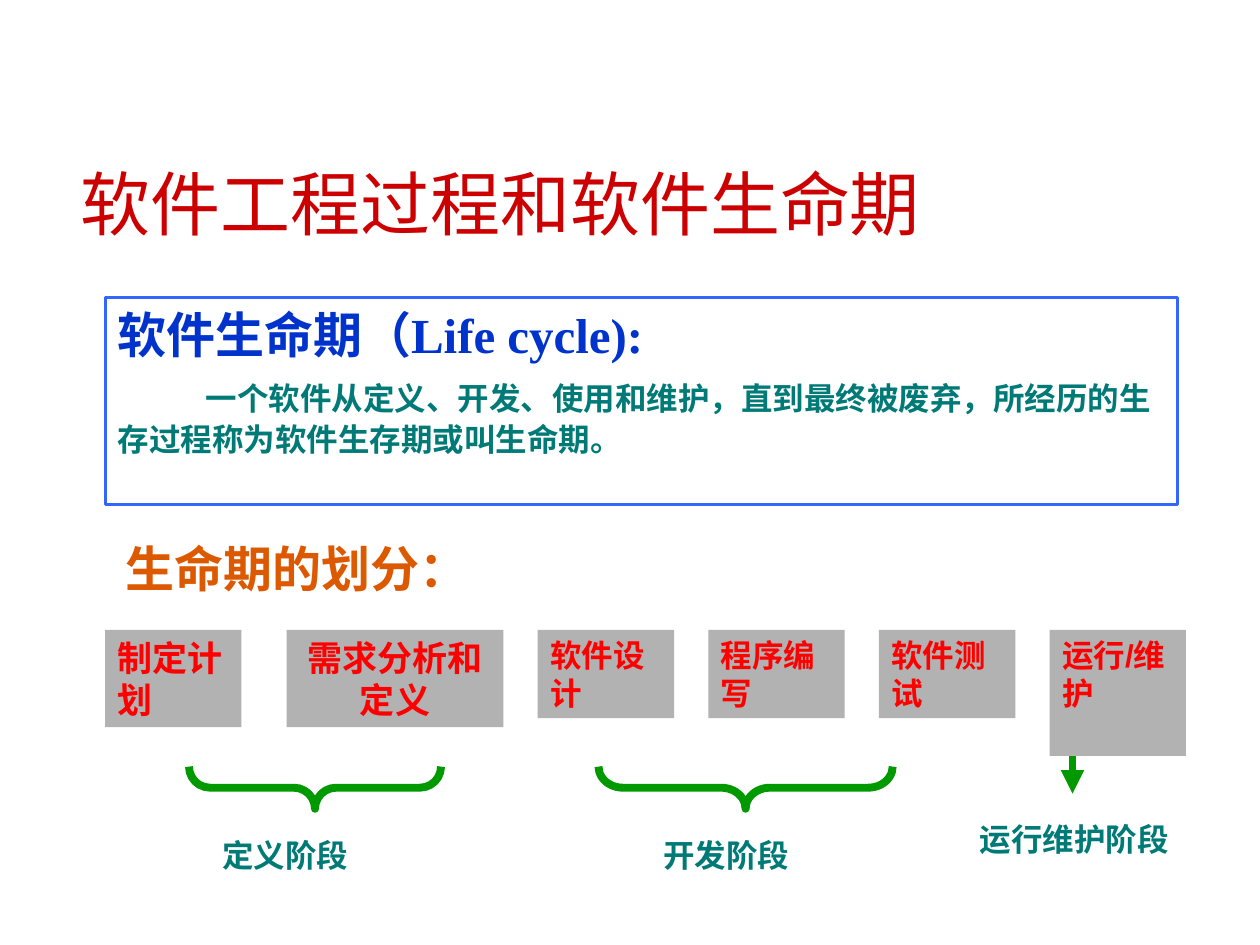
from lxml.etree import SubElement
from pptx import Presentation
from pptx.dml.color import RGBColor
from pptx.enum.shapes import MSO_CONNECTOR as Connector, MSO_SHAPE as Shape
from pptx.enum.text import MSO_ANCHOR as Anchor, PP_ALIGN as Align
from pptx.oxml.ns import qn
from pptx.util import Cm, Pt

RED = RGBColor(0xCC, 0x00, 0x00)
BRIGHT_RED = RGBColor(0xFF, 0x00, 0x00)
BLUE = RGBColor(0x00, 0x33, 0xCC)
FRAME_BLUE = RGBColor(0x33, 0x66, 0xFF)
TEAL = RGBColor(0x00, 0x7A, 0x77)
ORANGE = RGBColor(0xDC, 0x59, 0x00)
GREEN = RGBColor(0x00, 0x99, 0x00)
GRAY = RGBColor(0xB2, 0xB2, 0xB2)


class LifeCycleSlide:
    """Holds the shared style and the slide being drawn."""

    margins = {"margin_left": Cm(0.25), "margin_right": Cm(0.25),
               "margin_top": Cm(0.13), "margin_bottom": Cm(0.13)}
    stroke_width = Pt(4.5)

    def __init__(self, presentation):
        self.slide = presentation.slides.add_slide(presentation.slide_layouts[6])
        self.shapes = self.slide.shapes

    def fill_paragraph(self, paragraph, text, size, color, name="Arial", bold=True,
                       **layout):
        for key, value in layout.items():
            setattr(paragraph, key, value)
        run = paragraph.add_run()
        run.text = text
        for key, value in {"size": Pt(size), "name": name, "bold": bold}.items():
            setattr(run.font, key, value)
        run.font.color.rgb = color

    def indent(self, paragraph, length):
        paragraph._p.get_or_add_pPr().set("indent", str(Cm(length)))

    def prepare_frame(self, shape):
        frame = shape.text_frame
        settings = {"word_wrap": True, "vertical_anchor": Anchor.TOP, **self.margins}
        for key, value in settings.items():
            setattr(frame, key, value)
        return frame

    def text(self, left, top, width, height, text, size, color, **format_values):
        box = self.shapes.add_textbox(Cm(left), Cm(top), Cm(width), Cm(height))
        paragraph = self.prepare_frame(box).paragraphs[0]
        self.fill_paragraph(paragraph, text, size, color, **format_values)
        return paragraph

    def box(self, left, top, width, height, fill=None, line=None):
        shape = self.shapes.add_shape(
            Shape.RECTANGLE, Cm(left), Cm(top), Cm(width), Cm(height))
        shape.shadow.inherit = False
        if fill is None:
            shape.fill.background()
        else:
            shape.fill.solid()
            shape.fill.fore_color.rgb = fill
        if line is None:
            shape.line.fill.background()
        else:
            shape.line.color.rgb = line
            shape.line.width = Pt(1.75)
        return self.prepare_frame(shape)

    def step(self, left, width, height, text, size=18, alignment=Align.LEFT):
        frame = self.box(left, 12.7, width, height, fill=GRAY)
        self.fill_paragraph(frame.paragraphs[0], text, size, BRIGHT_RED,
                            alignment=alignment)

    def brace(self, center, span, curve):
        """Draw a brace of the given span that points down."""
        depth, middle = 0.85, 15.88
        shape = self.shapes.add_shape(
            Shape.RIGHT_BRACE, Cm(center - depth / 2), Cm(middle - span / 2),
            Cm(depth), Cm(span))
        shape.rotation = 90
        shape.adjustments[0] = curve
        shape.shadow.inherit = False
        shape.fill.background()
        shape.line.color.rgb = GREEN
        shape.line.width = self.stroke_width

    def arrow(self, x, top, bottom):
        connector = self.shapes.add_connector(
            Connector.STRAIGHT, Cm(x), Cm(top), Cm(x), Cm(bottom))
        connector.line.color.rgb = GREEN
        connector.line.width = self.stroke_width
        properties = connector._element.spPr
        SubElement(properties.find(qn("a:ln")), qn("a:tailEnd"), type="triangle")
        SubElement(properties, qn("a:effectLst"))


def main():
    presentation = Presentation()
    presentation.slide_width, presentation.slide_height = Cm(25.4), Cm(19.05)
    page = LifeCycleSlide(presentation)

    # Arrow to the maintenance stage, behind its step
    page.arrow(21.62, 14.73, 16)

    # Title
    title = page.text(0, 3.1, 23.5, 2.13, "软件工程过程和软件生命期", 40, RED,
                      name="Noto Sans CJK SC", bold=False)
    page.indent(title, 1.38)

    # Definition
    frame = page.box(2.12, 6, 21.61, 4.17, line=FRAME_BLUE)
    page.fill_paragraph(frame.paragraphs[0], "软件生命期（Life cycle):", 28, BLUE,
                        name="Times New Roman", alignment=Align.LEFT)
    definition = frame.add_paragraph()
    page.fill_paragraph(definition,
                        "一个软件从定义、开发、使用和维护，直到最终被废弃，"
                        "所经历的生存过程称为软件生存期或叫生命期。",
                        18, TEAL, name="Times New Roman", alignment=Align.LEFT,
                        space_before=Pt(7.5), line_spacing=1.08)
    page.indent(definition, 1.78)

    # Steps of the life cycle
    page.text(2.29, 10.72, 20.75, 1.45, "生命期的划分：", 28, ORANGE)
    page.step(2.12, 2.75, 1.96, "制定计划", size=20)
    page.step(5.78, 4.37, 1.96, "需求分析和定义", size=20, alignment=Align.CENTER)
    later_steps = [("软件设计", 1.78), ("程序编写", 1.78),
                   ("软件测试", 1.78), ("运行/维护", 2.54)]
    for index, (name, height) in enumerate(later_steps):
        page.step(10.84 + 3.44 * index, 2.75, height, name)

    # Stages
    page.brace(6.35, 5.08, 0.5)
    page.brace(15.03, 5.93, 0.58)
    for left, top, name in [(4.23, 16.72, "定义阶段"), (13.12, 16.72, "开发阶段"),
                            (19.5, 16.4, "运行维护阶段")]:
        page.text(left, top, 4.45, 1.02, name, 18, TEAL)

    presentation.save("out.pptx")


if __name__ == "__main__":
    main()
